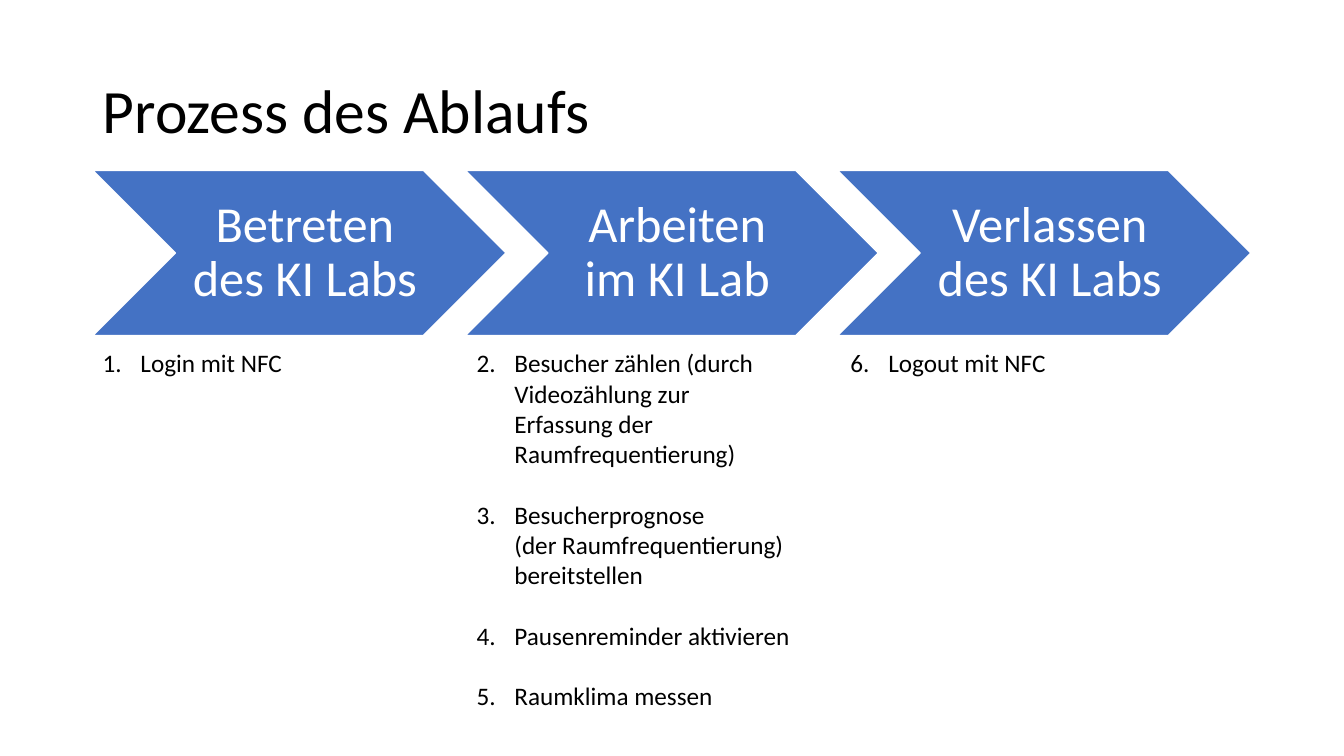
from lxml import etree
from pptx import Presentation
from pptx.dml.color import RGBColor
from pptx.enum.shapes import MSO_SHAPE
from pptx.enum.text import MSO_ANCHOR, PP_ALIGN
from pptx.oxml.ns import qn
from pptx.util import Pt

CHEVRON = MSO_SHAPE.CHEVRON
MIDDLE = MSO_ANCHOR.MIDDLE
LEFT, CENTER = PP_ALIGN.LEFT, PP_ALIGN.CENTER

COLORS = {"step": "4472C4", "white": "FFFFFF", "text": "000000"}
FONT = "Calibri"
MARGIN_LEFT = 66.24
STEP_TOP, STEP_WIDTH, STEP_HEIGHT, STEP_PITCH = 121.68, 295.2, 118.08, 266.04
TASKS_TOP, TASKS_PITCH = 244.8, 267.1
NUMBER_INDENT = 27
TASK_GAP = 21.6

# Step label, first task number, task list size, tasks
STEPS = [
    ("Betreten des KI Labs", 1, (237.6, 28.8), ["Login mit NFC"]),
    ("Arbeiten im KI Lab", 2, (243.36, 290.88), [
        "Besucher zählen (durch Videozählung zur\vErfassung der Raumfrequentierung)",
        "Besucherprognose (der\u00a0Raumfrequentierung) bereitstellen",
        "Pausenreminder aktivieren",
        "Raumklima messen",
    ]),
    ("Verlassen des KI Labs", 6, (237.6, 51.12), ["Logout mit NFC"]),
]


def write(paragraph, text, size, color, **layout):
    """Fill a paragraph with text and apply its font and layout values."""
    paragraph.text = text
    for name, value in layout.items():
        setattr(paragraph, name, value)
    for run in paragraph.runs:
        run.font.name = FONT
        run.font.size = Pt(size)
        run.font.color.rgb = RGBColor.from_string(COLORS[color])


def number(paragraph, start):
    """Turn a paragraph into an item of a numbered list."""
    properties = paragraph._p.get_or_add_pPr()
    properties.set("marL", str(Pt(NUMBER_INDENT)))
    properties.set("indent", str(-Pt(NUMBER_INDENT)))
    numbering = etree.SubElement(properties, qn("a:buAutoNum"))
    numbering.set("type", "arabicPeriod")
    numbering.set("startAt", str(start))


prs = Presentation()
prs.slide_width, prs.slide_height = Pt(960), Pt(540)
slide = prs.slides.add_slide(prs.slide_layouts[5])

title = slide.shapes.title
title.left, title.top = Pt(MARGIN_LEFT), Pt(28.8)
title.width, title.height = Pt(828), Pt(104.4)
title.text_frame.vertical_anchor = MIDDLE
write(title.text_frame.paragraphs[0], "Prozess des Ablaufs", 44, "text",
      alignment=LEFT, line_spacing=0.9)

for column, (label, first_number, (width, height), tasks) in enumerate(STEPS):
    step = slide.shapes.add_shape(
        CHEVRON, Pt(MARGIN_LEFT + column * STEP_PITCH), Pt(STEP_TOP),
        Pt(STEP_WIDTH), Pt(STEP_HEIGHT))
    step.shadow.inherit = False
    step.fill.solid()
    step.fill.fore_color.rgb = RGBColor.from_string(COLORS["step"])
    step.line.color.rgb = RGBColor.from_string(COLORS["white"])
    step.line.width = Pt(1)
    frame_format = {
        "word_wrap": True, "vertical_anchor": MIDDLE,
        "margin_left": Pt(11.5), "margin_right": Pt(3.6),
        "margin_top": Pt(3.6), "margin_bottom": Pt(3.6),
    }
    for name, value in frame_format.items():
        setattr(step.text_frame, name, value)
    write(step.text_frame.paragraphs[0], label, 36, "white",
          alignment=CENTER, line_spacing=0.9)

    task_list = slide.shapes.add_textbox(
        Pt(MARGIN_LEFT + column * TASKS_PITCH), Pt(TASKS_TOP),
        Pt(width), Pt(height)).text_frame
    task_list.word_wrap = True
    for index, task in enumerate(tasks):
        item = task_list.add_paragraph() if index else task_list.paragraphs[0]
        write(item, task, 18, "text", space_before=Pt(TASK_GAP if index else 0))
        number(item, first_number)

prs.save("out.pptx")
